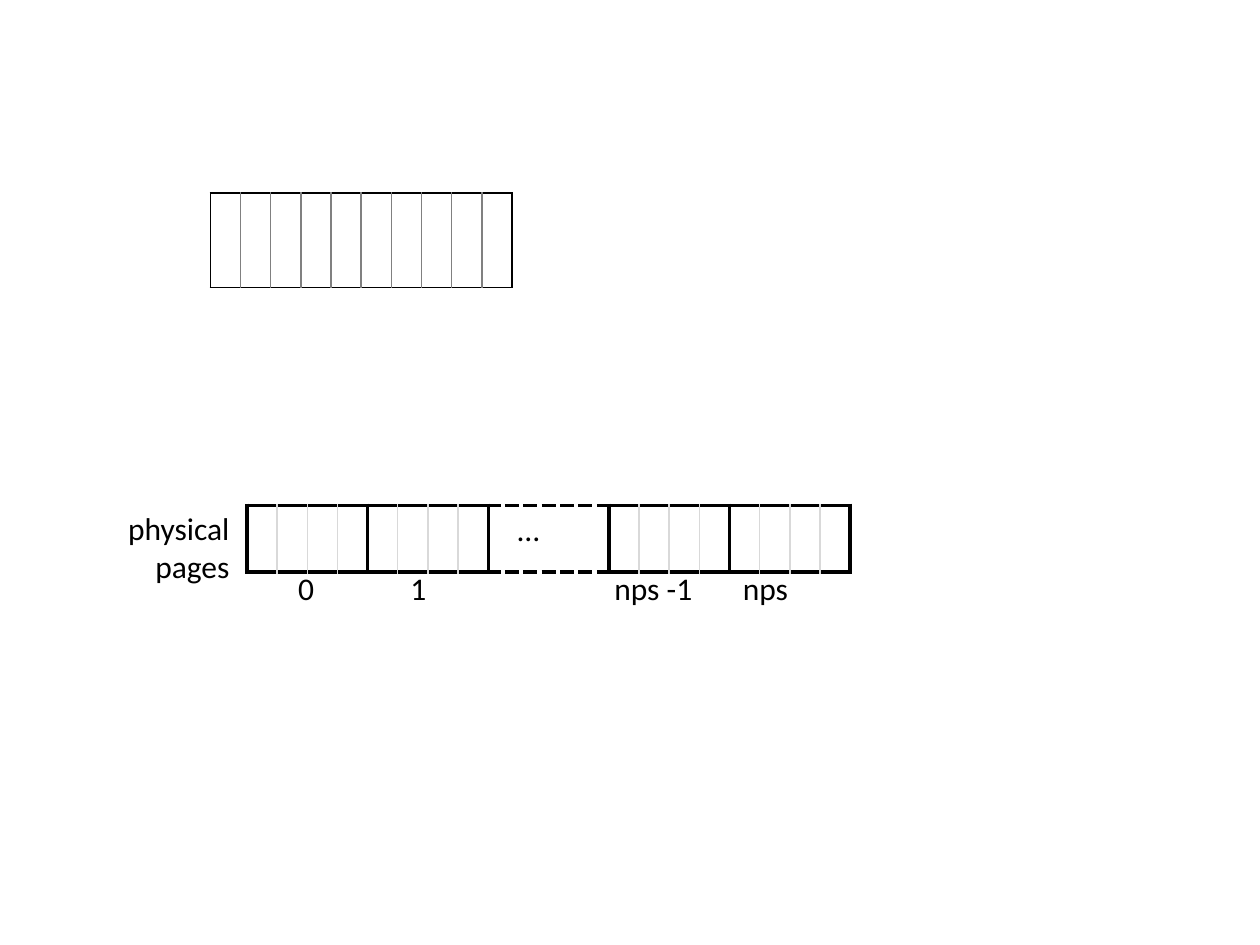
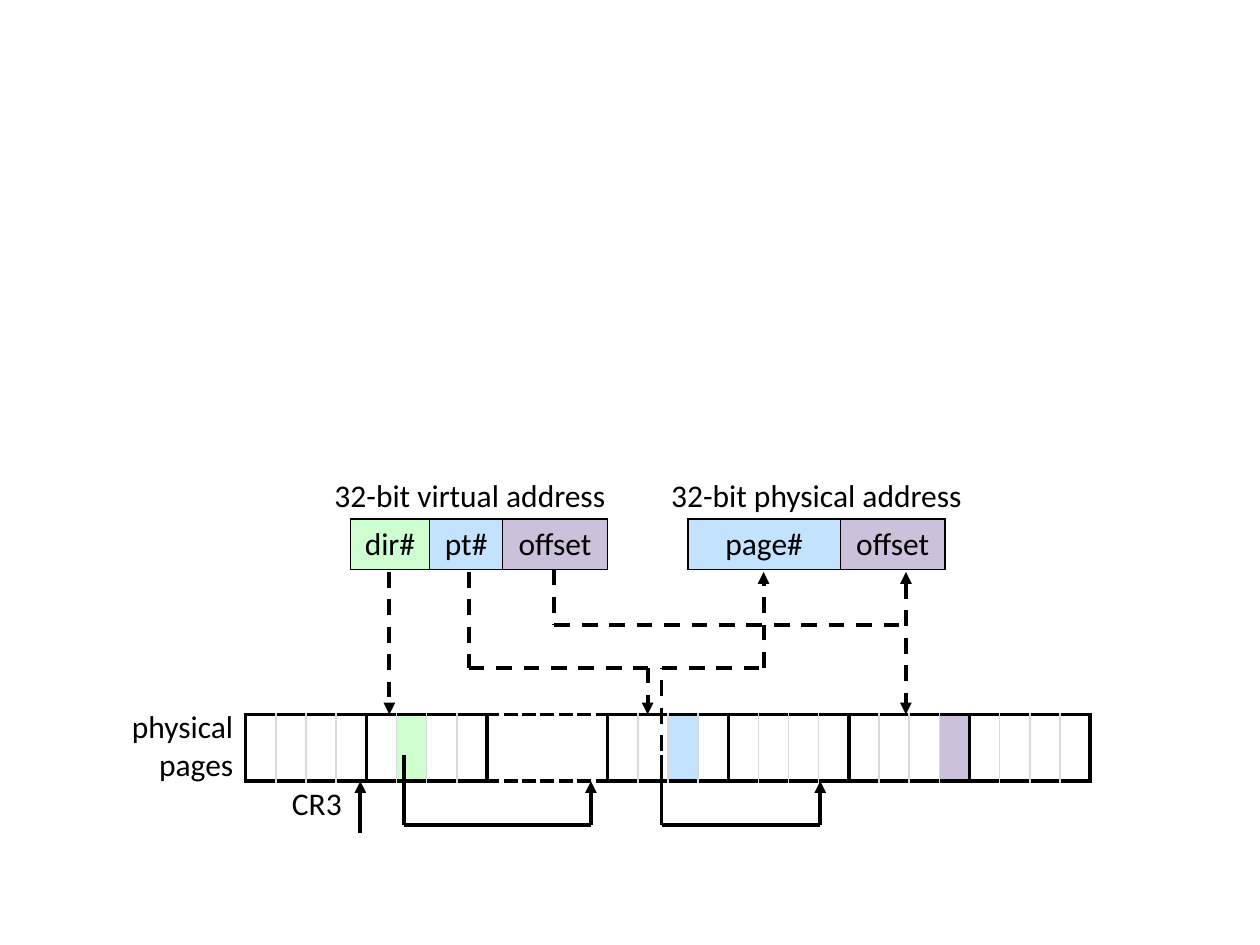
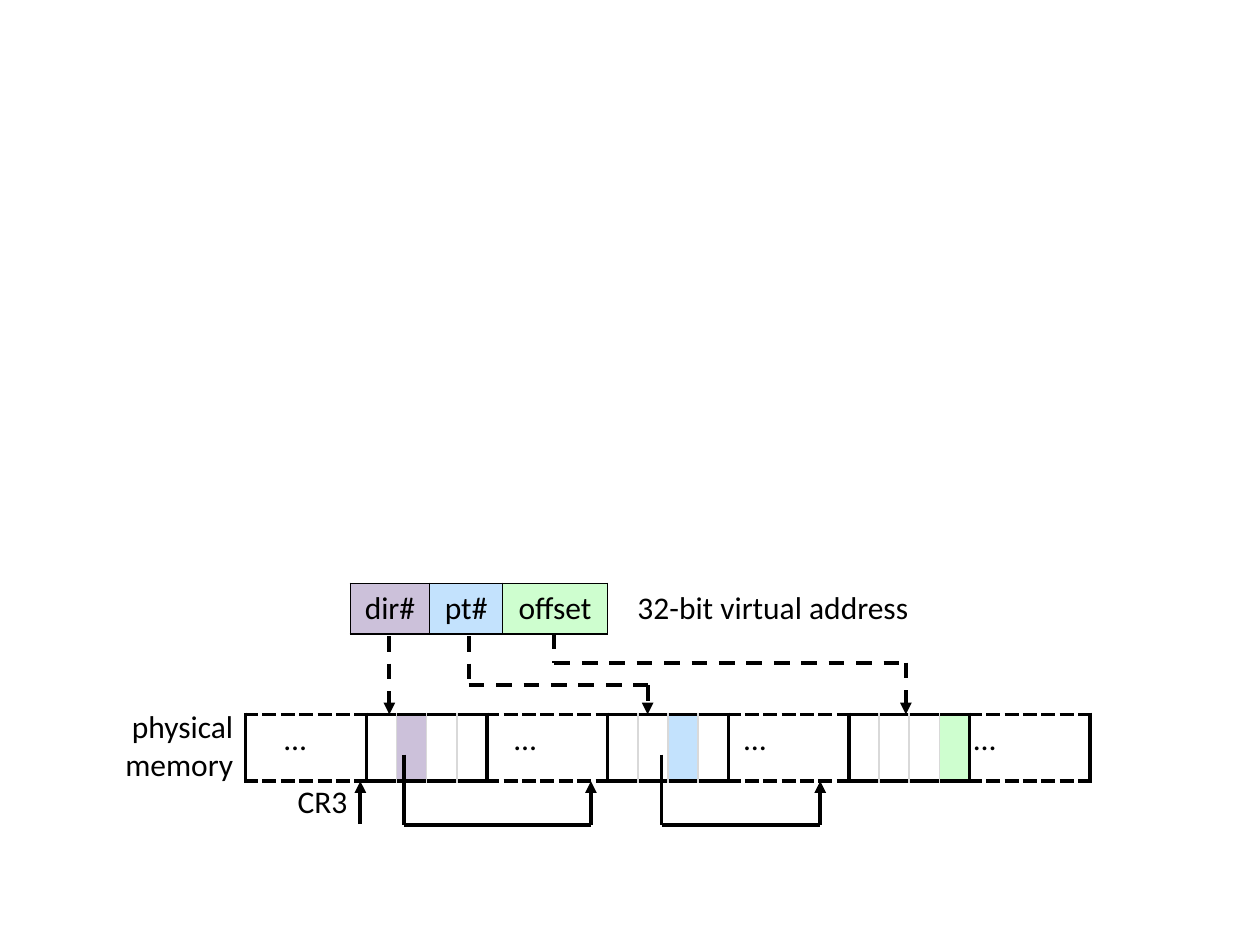
from dataclasses import dataclass, field

from lxml import etree
from pptx import Presentation
from pptx import util as u
from pptx.dml.color import RGBColor
from pptx.enum import dml, shapes, text
from pptx.oxml.ns import qn

FONT = "Calibri"
SIZE = 18
BLACK = "000000"
GRAY = "808080"
LIGHT_GRAY = "D9D9D9"
GREEN = "CEFECF"
BLUE = "C3E2FD"
PURPLE = "CCC1DA"
HEAVY = 2.25
THIN = 1
PAGE_WIDTH = 0.912
LABEL_HEIGHT = 0.4


@dataclass
class Box:
    left: float
    top: float
    width: float
    height: float

    @property
    def bottom(self):
        return self.top + self.height

    def inches(self):
        return [u.Inches(value) for value in (self.left, self.top, self.width, self.height)]


@dataclass
class Page:
    fills: dict = field(default_factory=dict)
    dashed: bool = False
    cells: int = 4


def color(value):
    return RGBColor.from_string(value)


def write_text(frame, content, align=text.PP_ALIGN.CENTER, size=SIZE, ink=BLACK):
    paragraph = frame.paragraphs[0]
    paragraph.alignment = align
    run = paragraph.add_run()
    run.text = content
    run.font.name = FONT
    run.font.size = u.Pt(size)
    run.font.color.rgb = color(ink)


def add_label(slide, box, content, **formatting):
    frame = slide.shapes.add_textbox(*box.inches()).text_frame
    frame.word_wrap = True
    frame.auto_size = text.MSO_AUTO_SIZE.SHAPE_TO_FIT_TEXT
    write_text(frame, content, **formatting)


def set_border(cell, side, ink, width, dash="solid"):
    properties = cell._tc.get_or_add_tcPr()
    line = etree.SubElement(properties, qn("a:ln" + side), w=str(u.Pt(width)))
    if ink is None:
        etree.SubElement(line, qn("a:noFill"))
        return
    fill = etree.SubElement(line, qn("a:solidFill"))
    etree.SubElement(fill, qn("a:srgbClr"), val=ink)
    etree.SubElement(line, qn("a:prstDash"), val=dash)


def set_fill(cell, fill):
    if fill is None:
        cell.fill.background()
    else:
        cell.fill.solid()
        cell.fill.fore_color.rgb = color(fill)


def add_row(slide, box, widths):
    table = slide.shapes.add_table(1, len(widths), *box.inches()).table
    table.first_row = table.horz_banding = False
    table.rows[0].height = u.Inches(box.height)
    for column, width in zip(table.columns, widths):
        column.width = u.Inches(width)
    return [table.cell(0, index) for index in range(len(widths))]


def add_memory(slide, box, pages, weight=HEAVY, divider=LIGHT_GRAY):
    count = sum(page.cells for page in pages)
    cells = iter(add_row(slide, box, [box.width / count] * count))
    for page in pages:
        inner = None if page.dashed else divider
        dash = "sysDash" if page.dashed else "solid"
        for index in range(page.cells):
            cell = next(cells)
            for side, at_edge in (("L", index == 0), ("R", index == page.cells - 1)):
                if at_edge:
                    set_border(cell, side, BLACK, weight)
                else:
                    set_border(cell, side, inner, THIN)
            for side in "TB":
                set_border(cell, side, BLACK, weight, dash)
            set_fill(cell, page.fills.get(index))


def add_address(slide, box, fields):
    cells = add_row(slide, box, [width for _, width, _ in fields])
    for cell, (name, _, fill) in zip(cells, fields):
        for side in "LRTB":
            set_border(cell, side, BLACK, THIN)
        set_fill(cell, fill)
        write_text(cell.text_frame, name)


def add_path(slide, points, dashed=False, head=False, tail=False):
    segments = list(zip(points, points[1:]))
    for index, (start, end) in enumerate(segments):
        ends = [u.Inches(value) for value in start + end]
        connector = slide.shapes.add_connector(shapes.MSO_CONNECTOR.STRAIGHT, *ends)
        connector.line.color.rgb = color(BLACK)
        connector.line.width = u.Pt(HEAVY)
        if dashed:
            connector.line.dash_style = dml.MSO_LINE.DASH
        line = connector.line._get_or_add_ln()
        if head and index == 0:
            etree.SubElement(line, qn("a:headEnd"), type="triangle")
        if tail and index == len(segments) - 1:
            etree.SubElement(line, qn("a:tailEnd"), type="triangle")
        etree.SubElement(connector._element.spPr, qn("a:effectLst"))


def add_page_pointers(slide, box, register, register_depth):
    register_x = box.left + 0.91
    add_path(slide, [(register_x, box.bottom + register_depth), (register_x, box.bottom)], tail=True)
    add_label(slide, register, "CR3")
    for start, end in ((1.26, 2.74), (3.3, 4.56)):
        left, right = box.left + start, box.left + end
        elbow = box.bottom + 0.35
        add_path(slide, [(left, box.top + 0.32), (left, elbow), (right, elbow), (right, box.bottom)], tail=True)


def add_virtual_address(slide, box, memory, fills, table_bend, offset_bend, offset_reaches):
    names = ("dir#", "pt#", "offset")
    add_address(slide, box, list(zip(names, (0.63, 0.58, 0.83), fills)))
    directory, table, offset = (box.left + shift for shift in (0.31, 0.94, 1.62))
    table_target, offset_target = memory.left + 3.19, memory.left + 5.24
    add_path(slide, [(directory, box.bottom + 0.02), (directory, memory.top)], dashed=True, tail=True)
    add_path(slide, [(table, box.bottom + 0.02), (table, table_bend),
                     (table_target, table_bend), (table_target, memory.top)], dashed=True, tail=True)
    route = [(offset, box.bottom), (offset, offset_bend), (offset_target, offset_bend)]
    if offset_reaches:
        route.append((offset_target, memory.top))
    add_path(slide, route, dashed=True, tail=offset_reaches)


def add_physical_address(slide, box, memory):
    add_address(slide, box, [("page#", 1.21, BLUE), ("offset", 0.83, PURPLE)])
    entry, page, offset = memory.left + 3.3, box.left + 0.6, box.left + 1.73
    add_path(slide, [(entry, memory.top + 0.29), (entry, 5.3), (page, 5.3),
                     (page, box.bottom + 0.02)], dashed=True, tail=True)
    add_path(slide, [(offset, box.bottom + 0.02), (offset, memory.top)], dashed=True, head=True, tail=True)


def build_page_row_slide(slide):
    add_memory(slide, Box(1.67, 1.53, 2.28, 0.75), [Page(cells=10)], weight=THIN, divider=GRAY)
    memory = Box(1.96, 4.01, 5 * PAGE_WIDTH, 0.53)
    add_memory(slide, memory, [Page(), Page(), Page(dashed=True), Page(), Page()])
    add_label(slide, Box(0.76, 3.99, 1.16, 0.71), "physical pages", align=text.PP_ALIGN.RIGHT)
    add_label(slide, Box(4.01, 4, 0.54, LABEL_HEIGHT), "…", align=text.PP_ALIGN.LEFT)
    numbers = (("0", 0.23, 0.48), ("1", 1.12, 0.48), ("nps -1", 2.76, 0.93), ("nps", 3.81, 0.61))
    for name, shift, width in numbers:
        add_label(slide, Box(memory.left + shift, 4.47, width, LABEL_HEIGHT), name)


def build_translation_slide(slide, memory, memory_name, pages):
    add_label(slide, Box(0.79, memory.top - 0.11, 1.16, 0.71), memory_name, align=text.PP_ALIGN.RIGHT)
    add_memory(slide, memory, pages)


def build_physical_slide(slide, memory):
    pages = [Page(), Page({1: GREEN}), Page(dashed=True), Page({2: BLUE}),
             Page(), Page({3: PURPLE}), Page()]
    build_translation_slide(slide, memory, "physical pages", pages)
    add_virtual_address(slide, Box(2.78, 4.12, 2.04, 0.4), memory, (GREEN, BLUE, PURPLE), 5.3, 4.96, False)
    add_label(slide, Box(2.47, 3.73, 2.52, LABEL_HEIGHT), "32-bit virtual address")
    add_physical_address(slide, Box(5.46, 4.12, 2.04, 0.4), memory)
    add_label(slide, Box(5.03, 3.73, 2.9, LABEL_HEIGHT), "32-bit physical address")
    add_page_pointers(slide, memory, Box(2.12, 6.17, 0.79, LABEL_HEIGHT), 0.41)


def build_virtual_slide(slide, memory):
    pages = [Page(dashed=True), Page({1: PURPLE}), Page(dashed=True), Page({2: BLUE}),
             Page(dashed=True), Page({3: GREEN}), Page(dashed=True)]
    build_translation_slide(slide, memory, "physical memory", pages)
    add_page_pointers(slide, memory, Box(2.09, 6.16, 0.94, LABEL_HEIGHT), 0.34)
    for index in range(4):
        gap = Box(memory.left + 0.21 + index * 2 * PAGE_WIDTH, memory.top - 0.01, 0.54, LABEL_HEIGHT)
        add_label(slide, gap, "…", align=text.PP_ALIGN.LEFT)
    add_virtual_address(slide, Box(2.78, 4.63, 2.04, 0.4), memory, (PURPLE, BLUE, GREEN), 5.44, 5.26, True)
    add_label(slide, Box(4.81, 4.62, 2.65, LABEL_HEIGHT), "32-bit virtual address")


def main():
    presentation = Presentation()
    presentation.slide_width = u.Inches(10)
    presentation.slide_height = u.Inches(7.5)
    blank = presentation.slide_layouts[6]
    memory = Box(1.95, 5.67, 7 * PAGE_WIDTH, 0.53)
    build_page_row_slide(presentation.slides.add_slide(blank))
    build_physical_slide(presentation.slides.add_slide(blank), memory)
    build_virtual_slide(presentation.slides.add_slide(blank), memory)
    presentation.save("out.pptx")


main()
